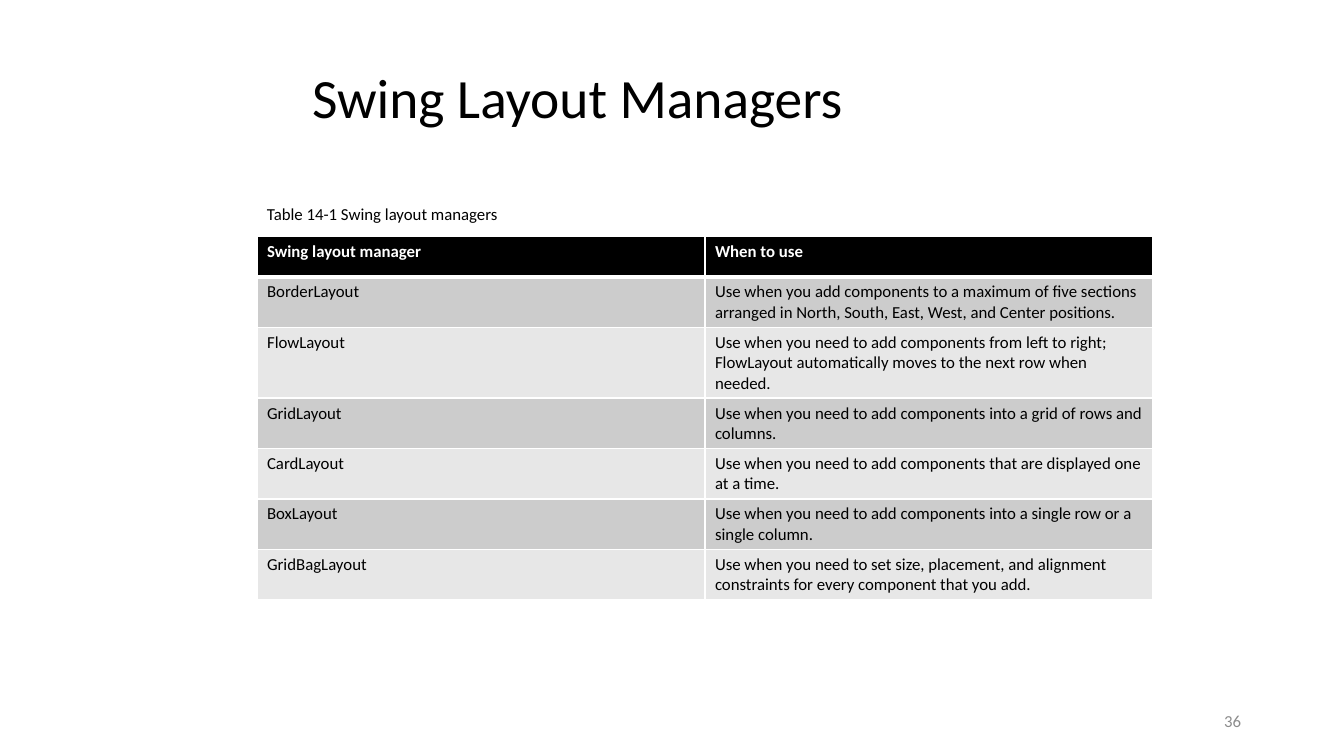
from pptx import Presentation
from pptx.dml.color import RGBColor
from pptx.enum.text import MSO_ANCHOR, MSO_AUTO_SIZE, PP_ALIGN
from pptx.oxml import parse_xml
from pptx.oxml.ns import nsdecls
from pptx.util import Emu, Pt

PX = 914400 / 100.8
FONT = "Calibri"
BLACK = RGBColor(0x00, 0x00, 0x00)
WHITE = RGBColor(0xFF, 0xFF, 0xFF)
GRAY = RGBColor(0x8C, 0x8C, 0x8C)
BANDS = [RGBColor(0xCC, 0xCC, 0xCC), RGBColor(0xE7, 0xE7, 0xE7)]

ROWS = [
    ("Swing layout manager", "When to use"),
    ("BorderLayout", "Use when you add components to a maximum of five sections "
     "arranged in North, South, East, West, and Center positions."),
    ("FlowLayout", "Use when you need to add components from left to right; "
     "FlowLayout automatically moves to the next row when needed."),
    ("GridLayout", "Use when you need to add components into a grid of rows and columns."),
    ("CardLayout", "Use when you need to add components that are displayed one at a time."),
    ("BoxLayout", "Use when you need to add components into a single row or a single column."),
    ("GridBagLayout", "Use when you need to set size, placement, and alignment "
     "constraints for every component that you add."),
]


def px(n):
    return Emu(round(n * PX))


def write(tf, text, size, color, bold=False, align=PP_ALIGN.LEFT):
    tf.text = text
    p = tf.paragraphs[0]
    p.alignment = align
    font = p.runs[0].font
    font.name, font.size, font.bold = FONT, Pt(size), bold
    font.color.rgb = color
    return p


def add_title(slide, x, y, w, h):
    sp = slide.shapes.title
    sp.left, sp.top, sp.width, sp.height = map(px, (x, y, w, h))
    tf = sp.text_frame
    tf.auto_size = MSO_AUTO_SIZE.NONE
    tf.vertical_anchor = MSO_ANCHOR.MIDDLE
    write(tf, "Swing Layout Managers", 39.6, BLACK).line_spacing = 0.9


def add_label(slide, x, y, w, h, text, color, align, anchor):
    tf = slide.shapes.add_textbox(*map(px, (x, y, w, h))).text_frame
    tf.word_wrap = True
    tf.vertical_anchor = anchor
    write(tf, text, 12, color, align=align)


def set_borders(cell, top, bottom):
    tcPr = cell._tc.get_or_add_tcPr()
    widths = {"lnL": 1, "lnR": 1, "lnT": top, "lnB": bottom}
    for i, (side, width) in enumerate(widths.items()):
        tcPr.insert(i, parse_xml(
            f'<a:{side} {nsdecls("a")} w="{Pt(width)}"><a:solidFill>'
            f'<a:srgbClr val="{WHITE}"/></a:solidFill></a:{side}>'))


def add_layout_table(slide, x, y, w, h):
    rows, cols = len(ROWS), len(ROWS[0])
    table = slide.shapes.add_table(rows, cols, *map(px, (x, y, w, h))).table
    for col in table.columns:
        col.width = px(w // cols)
    for i, texts in enumerate(ROWS):
        table.rows[i].height = px(h // rows)
        header = i == 0
        for j, text in enumerate(texts):
            cell = table.cell(i, j)
            cell.fill.solid()
            cell.fill.fore_color.rgb = BLACK if header else BANDS[(i - 1) % 2]
            write(cell.text_frame, text, 12, WHITE if header else BLACK, header)
            set_borders(cell, 3 if i == 1 else 1, 3 if header else 1)


def build_slide(prs):
    slide = prs.slides.add_slide(prs.slide_layouts[5])
    add_title(slide, 302, 65, 857, 71)
    add_label(slide, 257, 199, 408, 30, "Table 14-1 Swing layout managers",
              BLACK, PP_ALIGN.LEFT, MSO_ANCHOR.TOP)
    add_layout_table(slide, 257, 236, 896, 287)
    add_label(slide, 949, 701, 302, 40, "36", GRAY, PP_ALIGN.RIGHT, MSO_ANCHOR.MIDDLE)


prs = Presentation()
prs.slide_width, prs.slide_height = px(1344), px(756)
build_slide(prs)
prs.save("out.pptx")
